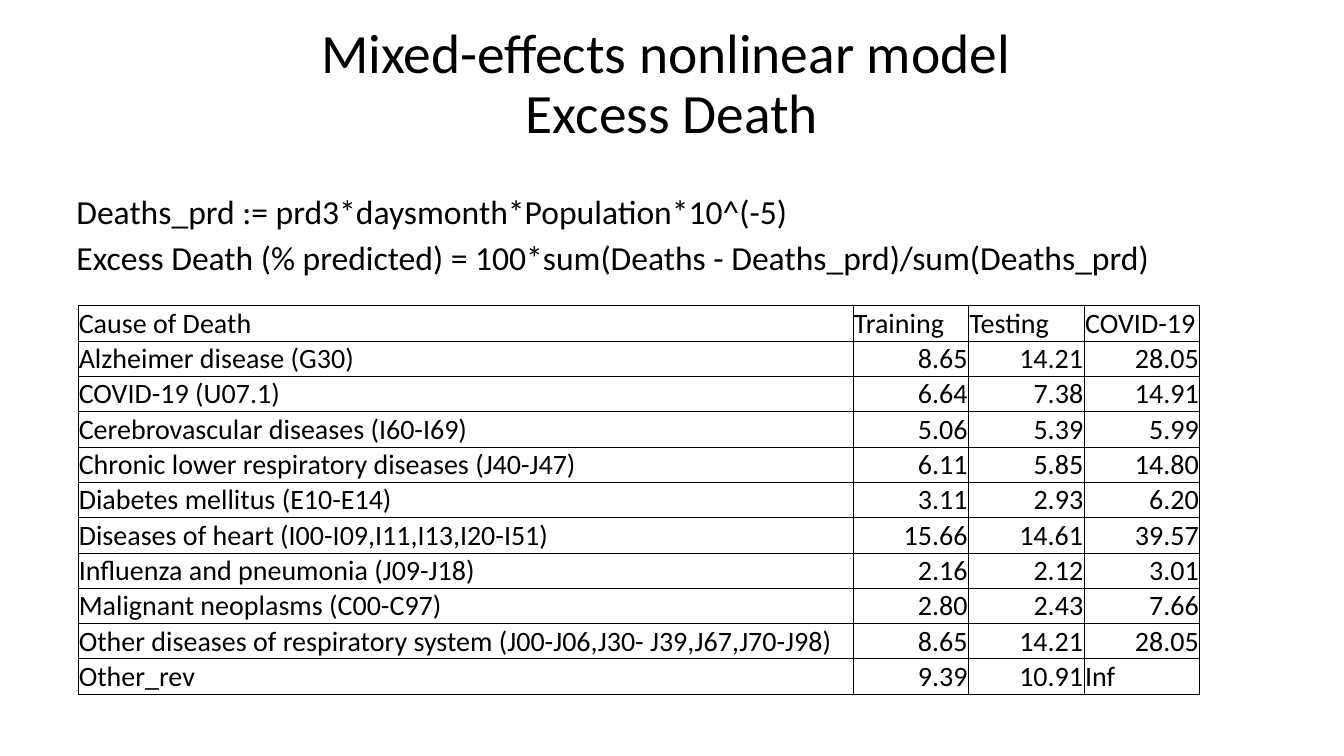
"""Build the slide on excess death from the mixed-effects nonlinear model."""
import pptx
import pptx.dml.color
import pptx.enum.text
import pptx.oxml
import pptx.oxml.ns
import pptx.util

Pt = pptx.util.Pt
ALIGN = pptx.enum.text.PP_ALIGN
ANCHOR = pptx.enum.text.MSO_ANCHOR
FONT = "Calibri"
COLORS = {"text": "000000", "border": "000000"}

TITLE_LINES = ["Mixed-effects nonlinear model ", "Excess Death"]
FORMULAS = [
    "Deaths_prd := prd3*daysmonth*Population*10^(-5)",
    "Excess Death (% predicted) = 100*sum(Deaths - Deaths_prd)/sum(Deaths_prd)",
]
HEADER = ("Cause of Death", "Training", "Testing", "COVID-19")
CAUSES = [
    ("Alzheimer disease (G30)", "8.65", "14.21", "28.05"),
    ("COVID-19 (U07.1)", "6.64", "7.38", "14.91"),
    ("Cerebrovascular diseases (I60-I69)", "5.06", "5.39", "5.99"),
    ("Chronic lower respiratory diseases (J40-J47)", "6.11", "5.85", "14.80"),
    ("Diabetes mellitus (E10-E14)", "3.11", "2.93", "6.20"),
    ("Diseases of heart (I00-I09,I11,I13,I20-I51)", "15.66", "14.61", "39.57"),
    ("Influenza and pneumonia (J09-J18)", "2.16", "2.12", "3.01"),
    ("Malignant neoplasms (C00-C97)", "2.80", "2.43", "7.66"),
    ("Other diseases of respiratory system (J00-J06,J30- J39,J67,J70-J98)",
     "8.65", "14.21", "28.05"),
    ("Other_rev", "9.39", "10.91", "Inf"),
]
COLUMN_WIDTHS = (553.7, 82.6, 82.6, 82.6)
ROW_HEIGHT = 25.25


def add_run(paragraph, wording, size):
    """Add one run of text in the slide's font."""
    run = paragraph.add_run()
    run.text = wording
    run.font.name = FONT
    run.font.size = Pt(size)
    run.font.color.rgb = pptx.dml.color.RGBColor.from_string(COLORS["text"])


def add_text_frame(slide, left, top, width, height):
    """Add a wrapping text box and return its text frame."""
    box = slide.shapes.add_textbox(Pt(left), Pt(top), Pt(width), Pt(height))
    box.text_frame.word_wrap = True
    return box.text_frame


def add_title(slide):
    """Add the centred title, broken over its lines."""
    frame = add_text_frame(slide, 66, 28.8, 828, 64.8)
    frame.vertical_anchor = ANCHOR.MIDDLE
    title = frame.paragraphs[0]
    title.alignment = ALIGN.CENTER
    title.line_spacing = 0.9
    for index, line in enumerate(TITLE_LINES):
        if index:
            title.add_line_break()
        add_run(title, line, 39.6)


def add_formulas(slide):
    """Add the formulas, one paragraph each."""
    frame = add_text_frame(slide, 47.5, 138.2, 846.7, 64.8)
    for index, wording in enumerate(FORMULAS):
        formula = frame.add_paragraph() if index else frame.paragraphs[0]
        formula.line_spacing = 0.8
        formula.space_before = Pt(10)
        add_run(formula, wording, 24)


def set_borders(cell):
    """Draw a thin line on all four sides of a cell."""
    properties = cell._tc.get_or_add_tcPr()
    for index, side in enumerate(("lnL", "lnR", "lnT", "lnB")):
        properties.insert(index, pptx.oxml.parse_xml(
            f'<a:{side} {pptx.oxml.ns.nsdecls("a")} w="{Pt(0.5)}"><a:solidFill>'
            f'<a:srgbClr val="{COLORS["border"]}"/></a:solidFill></a:{side}>'))


def fill_cell(cell, wording):
    """Write one table cell, with numbers aligned right."""
    cell.fill.background()
    set_borders(cell)
    cell.vertical_anchor = ANCHOR.BOTTOM
    cell.margin_left = cell.margin_right = cell.margin_top = Pt(0.7)
    cell.margin_bottom = Pt(0)
    entry = cell.text_frame.paragraphs[0]
    is_number = wording.replace(".", "").isdigit()
    entry.alignment = ALIGN.RIGHT if is_number else ALIGN.LEFT
    add_run(entry, wording, 20)


def add_death_table(slide):
    """Add the table of excess death by cause."""
    rows = [HEADER, *CAUSES]
    table = slide.shapes.add_table(
        len(rows), len(HEADER), Pt(55.6), Pt(218.3),
        Pt(sum(COLUMN_WIDTHS)), Pt(ROW_HEIGHT * len(rows))).table
    table.first_row = False
    table.horz_banding = False
    for column, width in zip(table.columns, COLUMN_WIDTHS):
        column.width = Pt(width)
    for table_row, entries in zip(table.rows, rows):
        table_row.height = Pt(ROW_HEIGHT)
        for cell, wording in zip(table_row.cells, entries):
            fill_cell(cell, wording)


def main():
    """Build and save the slide."""
    deck = pptx.Presentation()
    deck.slide_width, deck.slide_height = Pt(960), Pt(540)
    slide = deck.slides.add_slide(deck.slide_layouts[6])
    add_title(slide)
    add_formulas(slide)
    add_death_table(slide)
    deck.save("out.pptx")


if __name__ == "__main__":
    main()
